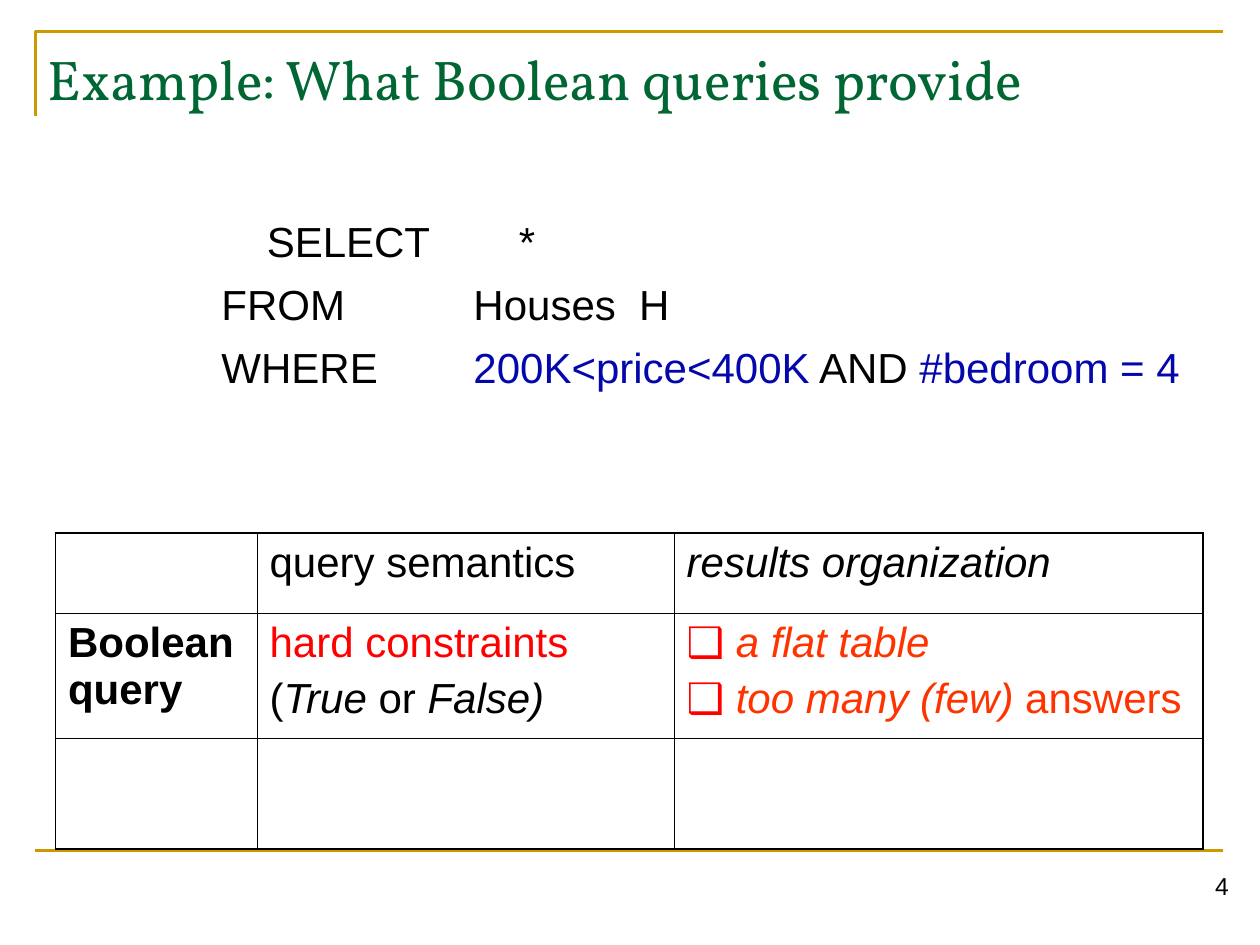
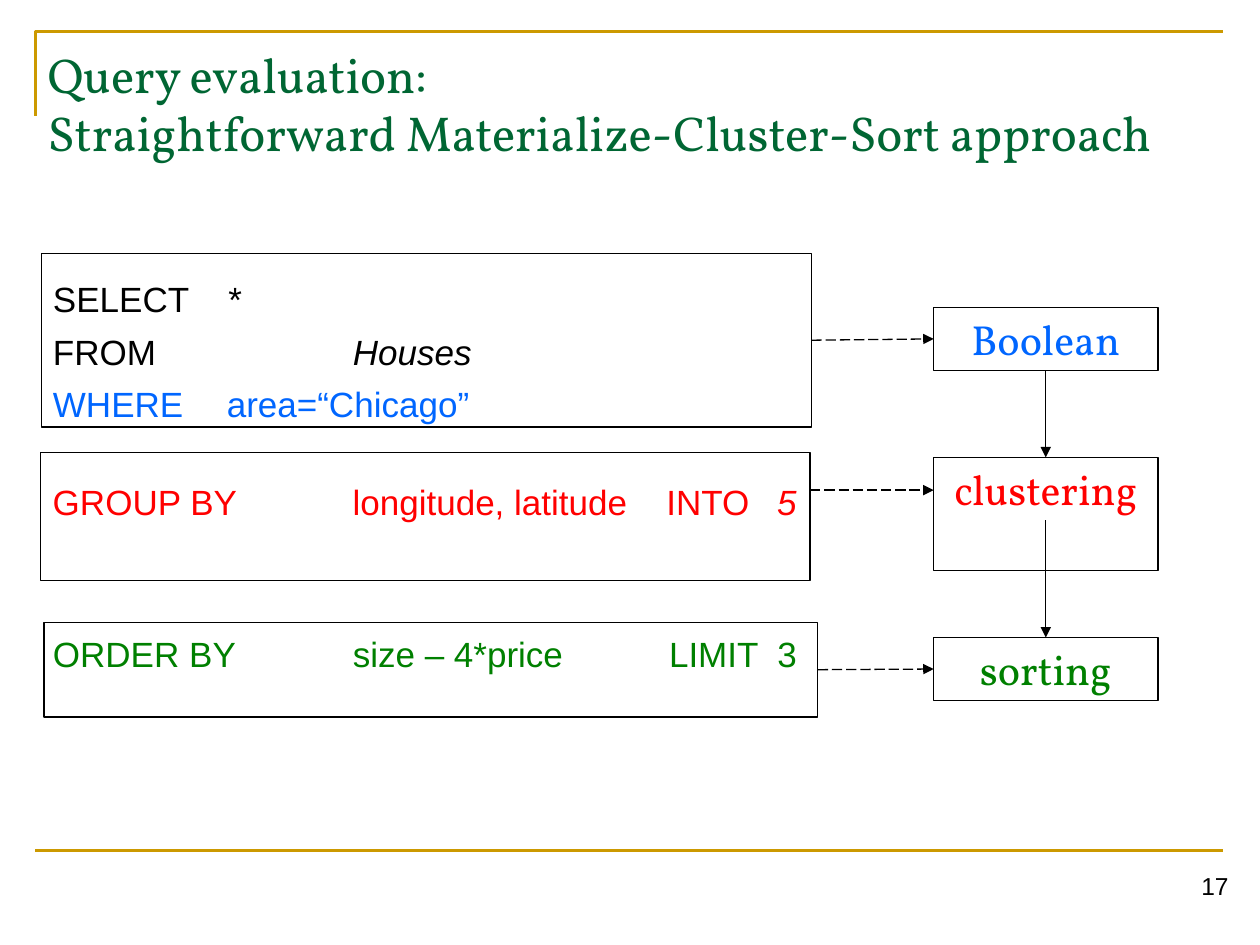
from collections import namedtuple

from lxml import etree
from pptx import Presentation
from pptx.dml.color import RGBColor
from pptx.enum.dml import MSO_LINE
from pptx.enum.shapes import MSO_CONNECTOR, MSO_SHAPE
from pptx.enum.text import MSO_ANCHOR, PP_ALIGN
from pptx.oxml.ns import qn
from pptx.util import Inches, Pt

RECTANGLE = MSO_SHAPE.RECTANGLE
STRAIGHT = MSO_CONNECTOR.STRAIGHT
LONG_DASH = MSO_LINE.LONG_DASH
TOP = MSO_ANCHOR.TOP
LEFT, CENTER, RIGHT = PP_ALIGN.LEFT, PP_ALIGN.CENTER, PP_ALIGN.RIGHT
SITE_TOP, SITE_LEFT, SITE_BOTTOM, SITE_RIGHT = range(4)

COLUMNS, ROWS = 100, 75  # square grid cells of a tenth of an inch
CELL = Inches(0.1)
SANS, SERIF = "Arial", "Vollkorn"
COLORS = {
    "gold": "CC9900", "title": "006633", "black": "000000", "navy": "0408AC",
    "red": "FF0000", "orange": "FF3300", "blue": "0066FF", "green": "008000",
}

Box = namedtuple("Box", "left top width height")
FRAME = Box(2.8, 2.5, 94.3, 65)
TITLE = Box(2.8, 3, 94.1, 12.5)
NUMBER = Box(85.5, 68.6, 13, 5.2)


def grid(count):
    return round(count * CELL)


def place(box):
    return [grid(length) for length in box]


def color(name):
    return RGBColor.from_string(COLORS[name])


def add_xml(parent, tag, **attributes):
    return etree.SubElement(parent, qn(tag), **attributes)


def format_run(run, size, font=SANS, color_name="black", bold=False, italic=False):
    run.font.size = Pt(size)
    run.font.name = font
    run.font.color.rgb = color(color_name)
    run.font.bold = bold
    run.font.italic = italic


def write(frame, paragraphs, size, gap=0, tabs=(), font=SANS, align=LEFT):
    """Fill a frame; each paragraph is a list of (text, run format) pairs."""
    for index, parts in enumerate(paragraphs):
        paragraph = frame.add_paragraph() if index else frame.paragraphs[0]
        paragraph.alignment = align
        if index:
            paragraph.space_before = Pt(gap)
        if tabs:
            set_tabs(paragraph, tabs[index])
        for text, run_format in parts:
            run = paragraph.add_run()
            run.text = text
            format_run(run, size, font, **run_format)


def set_tabs(paragraph, stops):
    tab_list = add_xml(paragraph._p.get_or_add_pPr(), "a:tabLst")
    for stop in stops:
        add_xml(tab_list, "a:tab", pos=str(grid(stop)), algn="l")


def set_bullet(paragraph, character, color_name, indent):
    properties = paragraph._p.get_or_add_pPr()
    properties.set("marL", str(grid(indent)))
    properties.set("indent", str(-grid(indent)))
    add_xml(add_xml(properties, "a:buClr"), "a:srgbClr", val=COLORS[color_name])
    add_xml(properties, "a:buFont", typeface=SANS)
    add_xml(properties, "a:buChar", char=character)


def add_text_frame(slide, box):
    frame = slide.shapes.add_textbox(*place(box)).text_frame
    frame.word_wrap = True
    return frame


def set_line(shape, color_name, width):
    shape.line.color.rgb = color(color_name)
    shape.line.width = Pt(width)


def add_outline_box(slide, box):
    shape = slide.shapes.add_shape(RECTANGLE, *place(box))
    shape.shadow.inherit = False
    shape.fill.background()
    set_line(shape, "black", 0.75)
    shape.text_frame.word_wrap = True
    shape.text_frame.vertical_anchor = TOP
    return shape


def add_line(slide, start, end, color_name="black", width=0.75):
    connector = slide.shapes.add_connector(STRAIGHT, *place(start + end))
    set_line(connector, color_name, width)
    add_xml(connector._element.spPr, "a:effectLst")
    return connector


def add_arrow(slide, start, end, dashed=False):
    arrow = add_line(slide, start, end)
    if dashed:
        arrow.line.dash_style = LONG_DASH
    add_xml(arrow.line._get_or_add_ln(), "a:tailEnd", type="triangle")
    return arrow


def add_frame_lines(slide, box):
    right, bottom = box.left + box.width, box.top + box.height
    builder = slide.shapes.build_freeform(grid(box.left), grid(box.top + 6.7))
    corner = [(box.left, box.top), (right, box.top)]
    builder.add_line_segments([place(point) for point in corner], close=False)
    bracket = builder.convert_to_shape()
    bracket.shadow.inherit = False
    bracket.fill.background()
    set_line(bracket, "gold", 1.5)
    add_line(slide, (box.left, bottom), (right, bottom), "gold", 1.5)


def add_base_slide(presentation, title, title_size, number):
    slide = presentation.slides.add_slide(presentation.slide_layouts[6])
    add_frame_lines(slide, FRAME)
    write(add_text_frame(slide, NUMBER), [[(number, {})]], 14, align=RIGHT)
    title_frame = add_text_frame(slide, TITLE)
    title_frame.text = title
    for run in title_frame.paragraphs[0].runs:
        format_run(run, title_size, SERIF, "title")
    return slide


def add_house_query(slide, box):
    navy = {"color_name": "navy"}
    lines = [
        [("\tSELECT\t*", {})],
        [("FROM\tHouses  H", {})],
        [("WHERE\t", {}), ("200K<price<400K", navy), (" AND ", {}),
         ("#bedroom = 4", navy)],
    ]
    tabs = [(3.6, 23.6), (20,), (20,)]
    write(add_text_frame(slide, box), lines, 24, 7.2, tabs)


def set_borders(cell, at_left, at_right, at_top, at_bottom):
    """Draw all four borders, thicker on the table's outer edge."""
    properties = cell._tc.get_or_add_tcPr()
    edges = {"a:lnL": at_left, "a:lnR": at_right, "a:lnT": at_top, "a:lnB": at_bottom}
    for index, (tag, is_outer) in enumerate(edges.items()):
        width = Pt(1.08 if is_outer else 0.45)
        line = add_xml(properties, tag, w=str(width))
        add_xml(add_xml(line, "a:solidFill"), "a:srgbClr", val=COLORS["black"])
        properties.insert(index, line)


def add_semantics_table(slide, box, column_widths, row_heights):
    italic = {"italic": True}
    warning = {"color_name": "orange"}
    rows = [
        [[], [[("query semantics", {})]], [[("results organization", italic)]]],
        [[[("Boolean query", {"bold": True})]],
         [[("hard constraints", {"color_name": "red"})],
          [("(", {}), ("True", italic), (" or ", {}), ("False)", italic)]],
         [[("a flat table", warning | italic)],
          [("too many (few)", warning | italic), (" answers", warning)]]],
        [[], [], []],
    ]
    last_row, last_column = len(row_heights) - 1, len(column_widths) - 1
    table = slide.shapes.add_table(last_row + 1, last_column + 1, *place(box)).table
    table.first_row = table.horz_banding = False
    for column, width in zip(table.columns, column_widths):
        column.width = grid(width)
    for row, height in zip(table.rows, row_heights):
        row.height = grid(height)
    for row, contents in enumerate(rows):
        for column, paragraphs in enumerate(contents):
            cell = table.cell(row, column)
            cell.fill.background()
            set_borders(cell, column == 0, column == last_column,
                        row == 0, row == last_row)
            write(cell.text_frame, paragraphs, 24, 5)
    for paragraph in table.cell(1, 2).text_frame.paragraphs:
        set_bullet(paragraph, "❑", "red", 3.9)


def add_clause(slide, box, lines, tabs, inset_top, text_left=4.2):
    """Add one outlined part of the query, its text starting at text_left."""
    shape = add_outline_box(slide, box)
    frame = shape.text_frame
    frame.margin_left = grid(text_left - box.left)
    frame.margin_top = grid(inset_top)
    frame.margin_right = 0
    write(frame, lines, 20, 6, tabs)
    return shape


def add_step(slide, box, name, color_name):
    shape = add_outline_box(slide, box)
    write(shape.text_frame, [[(name, {"color_name": color_name})]], 24,
          font=SERIF, align=CENTER)
    return shape


def add_query_clauses(slide, select_box, group_box, order_box):
    red, green, blue = ({"color_name": name} for name in ("red", "green", "blue"))
    italic = {"italic": True}
    select_lines = [
        [("SELECT\t", {}), ("*", italic)],
        [("FROM\t", {}), ("Houses", italic)],
        [("WHERE\tarea=“Chicago”", blue)],
    ]
    group_lines = [[("GROUP BY\tlongitude, latitude\tINTO\t", red),
                    ("5", red | italic)]]
    order_lines = [[("ORDER BY\tsize – 4*price\tLIMIT\t3", green)]]
    return [
        add_clause(slide, select_box, select_lines, [(13.8,), (23.8,), (13.8,)], 1.95),
        add_clause(slide, group_box, group_lines, [(23.8, 48.7, 57.5)], 2.25),
        add_clause(slide, order_box, order_lines, [(23.8, 48.9, 57.5)], 0.8),
    ]


def add_steps(slide, box, group_top, group_height, step_height=5):
    """Stack the three steps in a box, the middle one set by its own rows."""
    sort_top = box.top + box.height - step_height
    steps = [
        add_step(slide, Box(box.left, top, box.width, height), name, color_name)
        for top, height, name, color_name in (
            (box.top, step_height, "Boolean", "blue"),
            (group_top, group_height, "clustering", "red"),
            (sort_top, step_height, "sorting", "green"))
    ]
    middle = box.left + box.width / 2
    arrow = add_arrow(slide, (middle, box.top + step_height), (middle, group_top))
    arrow.begin_connect(steps[0], SITE_BOTTOM)
    arrow.end_connect(steps[1], SITE_TOP)
    arrow = add_arrow(slide, (middle, group_top + step_height), (middle, sort_top))
    arrow.end_connect(steps[2], SITE_TOP)
    return steps


def build_boolean_slide(presentation):
    slide = add_base_slide(presentation, "Example: What Boolean queries provide", 32, "4")
    add_house_query(slide, Box(16.6, 16.6, 80.3, 15))
    add_semantics_table(slide, Box(4.4, 42.3, 91.1, 25.1),
                        (16, 33.1, 42), (6.4, 9.9, 8.8))


def build_evaluation_slide(presentation):
    slide = add_base_slide(
        presentation,
        "Query evaluation:\vStraightforward Materialize-Cluster-Sort approach",
        28, "17")
    group_box = Box(3.2, 35.9, 61.1, 10.2)
    steps_box = Box(74.1, 24.4, 17.8, 31.2)
    clauses = add_query_clauses(slide, Box(3.3, 20.1, 61.1, 13.8), group_box,
                                Box(3.5, 49.4, 61.4, 7.5))
    steps = add_steps(slide, steps_box, 36.3, 9)
    for index in (0, 2):
        arrow = add_arrow(slide, (0, 0), (0, 0), dashed=True)
        arrow.begin_connect(clauses[index], SITE_RIGHT)
        arrow.end_connect(steps[index], SITE_LEFT)
    group_row = group_box.top + 3
    add_arrow(slide, (group_box.left + group_box.width, group_row),
              (steps_box.left, group_row), dashed=True)


def main():
    presentation = Presentation()
    presentation.slide_width = grid(COLUMNS)
    presentation.slide_height = grid(ROWS)
    build_boolean_slide(presentation)
    build_evaluation_slide(presentation)
    presentation.save("out.pptx")


if __name__ == "__main__":
    main()
